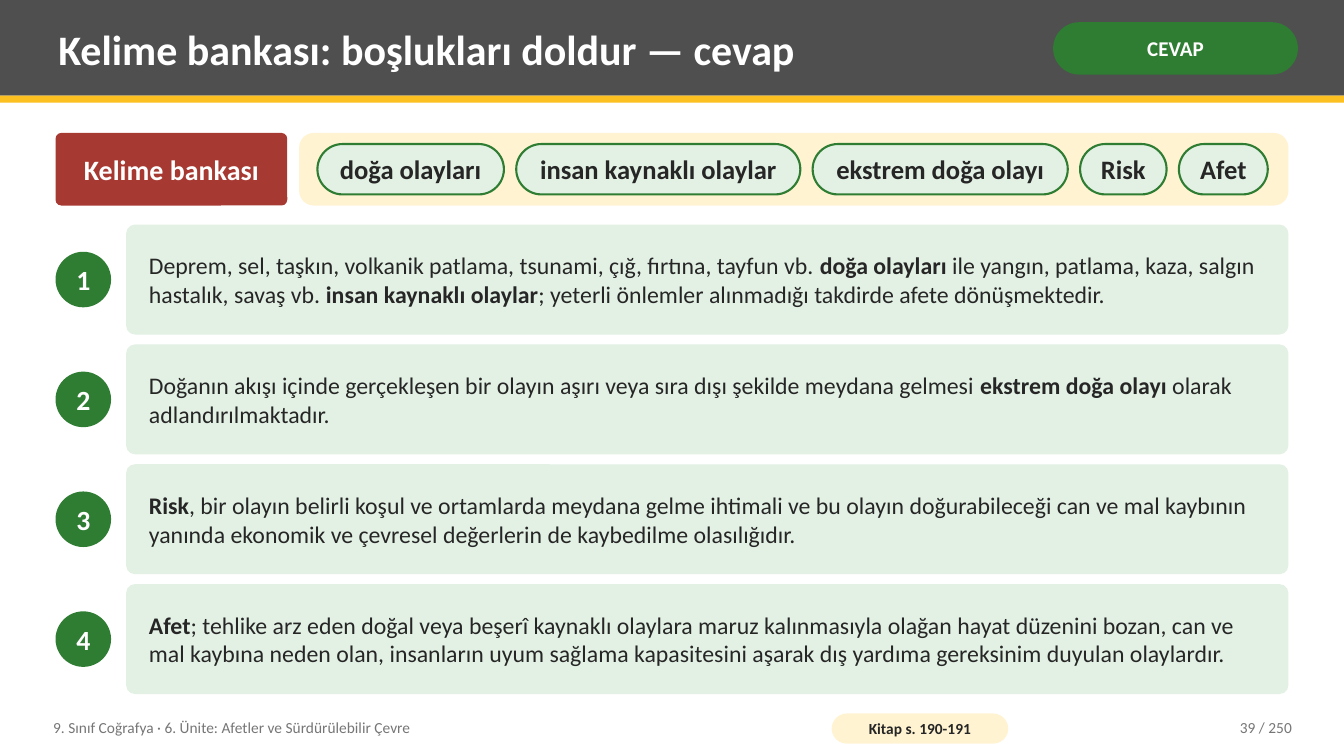
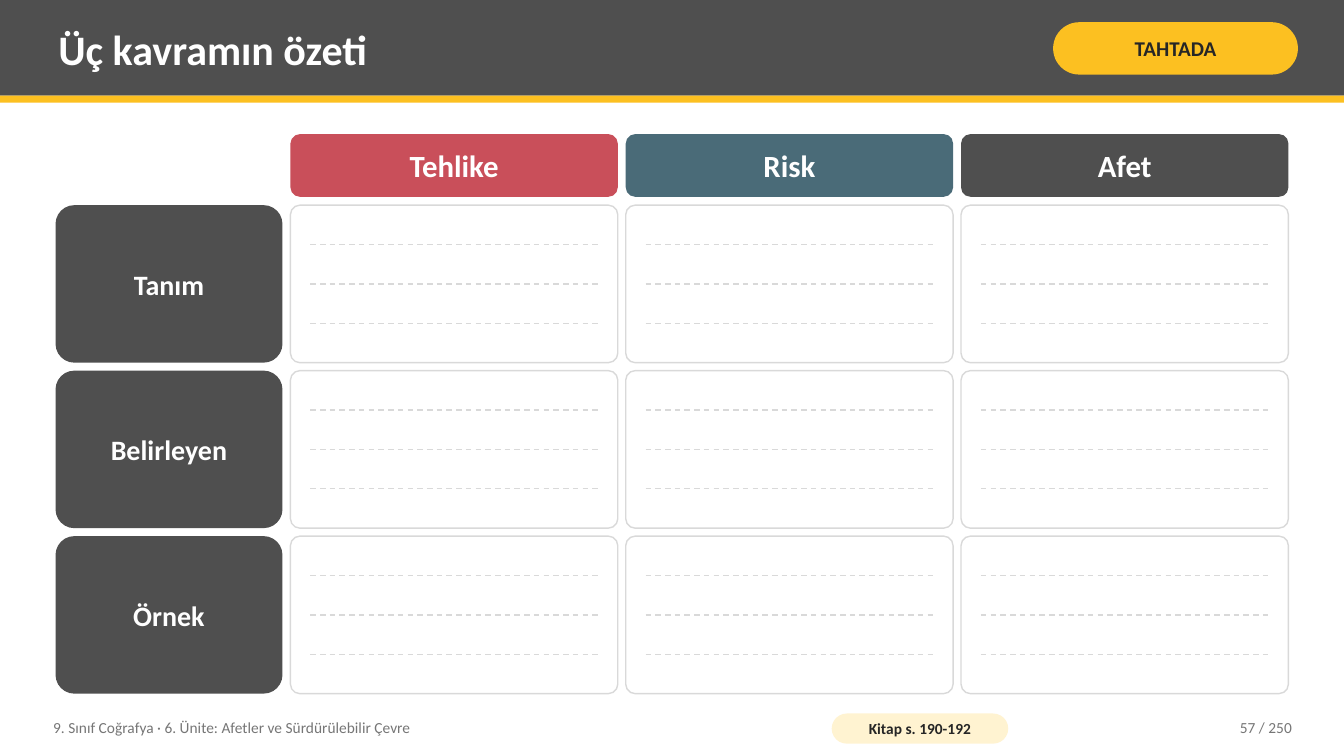
from dataclasses import dataclass

from lxml import etree
from pptx import Presentation
from pptx import util as u
from pptx.dml.color import RGBColor
from pptx.enum import dml, shapes, text
from pptx.oxml.ns import qn


@dataclass(frozen=True)
class Theme:
    font: str = "Calibri"
    white: str = "FFFFFF"
    ink: str = "262626"
    charcoal: str = "4F4F4F"
    muted: str = "767676"
    rule: str = "D9D9D9"
    yellow: str = "FCC021"
    cream: str = "FFF3D1"
    green: str = "2E7D32"
    mint: str = "E3F1E4"
    brick: str = "A63A32"
    rose: str = "C94F5A"
    teal: str = "4A6B78"
    title_size: float = 30
    column_size: float = 22
    label_size: float = 20
    number_size: float = 19.8
    word_size: float = 19
    sentence_size: float = 17
    badge_size: float = 15
    footer_size: float = 11


THEME = Theme()
ROUND = shapes.MSO_SHAPE.ROUNDED_RECTANGLE
RECT = shapes.MSO_SHAPE.RECTANGLE
CENTER, LEFT, RIGHT = text.PP_ALIGN.CENTER, text.PP_ALIGN.LEFT, text.PP_ALIGN.RIGHT


def write(frame, words, size, color, bold=True, align=CENTER, inset=(0.2, 0.1), wrap=True):
    """Fill a text frame; parts between ** marks switch bold on and off."""
    across, down = (u.Cm(length) for length in inset)
    layout_values = {
        "word_wrap": wrap, "auto_size": text.MSO_AUTO_SIZE.NONE,
        "vertical_anchor": text.MSO_ANCHOR.MIDDLE,
        "margin_left": across, "margin_right": across,
        "margin_top": down, "margin_bottom": down,
    }
    for key, value in layout_values.items():
        setattr(frame, key, value)
    paragraph = frame.paragraphs[0]
    paragraph.alignment = align
    for position, part in enumerate(words.split("**")):
        if not part:
            continue
        run = paragraph.add_run()
        run.text = part
        run.font.color.rgb = RGBColor.from_string(color)
        font_values = {"name": THEME.font, "size": u.Pt(size), "bold": bold != (position % 2 == 1)}
        for key, value in font_values.items():
            setattr(run.font, key, value)


def panel(slide, at, fill, preset=ROUND, corner=None, outline=None, width=1):
    """Add a filled shape; at is left, top, width and height in cm."""
    shape = slide.shapes.add_shape(preset, *(u.Cm(length) for length in at))
    shape.shadow.inherit = False
    shape.fill.solid()
    shape.fill.fore_color.rgb = RGBColor.from_string(fill)
    if corner is not None:
        shape.adjustments[0] = corner
    if outline:
        shape.line.color.rgb = RGBColor.from_string(outline)
        shape.line.width = u.Pt(width)
    else:
        shape.line.fill.background()
    return shape


SLIDE_WIDTH, SLIDE_HEIGHT = 33.87, 19.05
MARGIN, CONTENT_RIGHT = 1.4, 32.47

deck = Presentation()
deck.slide_width, deck.slide_height = u.Cm(SLIDE_WIDTH), u.Cm(SLIDE_HEIGHT)

# Shared layout: title position and header bands
layout = deck.slide_layouts[5]
layout_title, *unused = layout.placeholders
for placeholder in unused:
    layout.shapes.element.remove(placeholder.element)
title_place = {"left": 1.27, "top": 0.18, "width": 24.77, "height": 2.08}
for key, value in title_place.items():
    setattr(layout_title, key, u.Cm(value))

# Header and footer of each slide
headings = [
    ("Kelime bankası: boşlukları doldur — cevap", "CEVAP", THEME.green, THEME.white,
     "Kitap s. 190-191", "39 / 250"),
    ("Üç kavramın özeti", "TAHTADA", THEME.yellow, THEME.ink,
     "Kitap s. 190-192", "57 / 250"),
]
pages = []
for heading, badge, badge_fill, badge_ink, book_pages, page_number in headings:
    page = deck.slides.add_slide(layout)
    pages.append(page)
    write(page.shapes.title.text_frame, heading, THEME.title_size, THEME.white, align=LEFT)
    badge_pill = panel(page, (26.54, 0.56, 6.17, 1.32), badge_fill, corner=0.5)
    write(badge_pill.text_frame, badge, THEME.badge_size, badge_ink, inset=(0.13, 0.05))

    footer_texts = [
        (1.14, 19.3, "9. Sınıf Coğrafya · 6. Ünite: Afetler ve Sürdürülebilir Çevre", LEFT),
        (28.7, 4.06, page_number, RIGHT),
    ]
    for left, width, words, align in footer_texts:
        footer = page.shapes.add_textbox(u.Cm(left), u.Cm(17.88), u.Cm(width), u.Cm(0.91))
        write(footer.text_frame, words, THEME.footer_size, THEME.muted, bold=False, align=align)
    book_pill = panel(page, (20.96, 17.98, 4.45, 0.76), THEME.cream, corner=0.5)
    write(book_pill.text_frame, book_pages, THEME.footer_size, THEME.ink, inset=(0.1, 0))

answers, summary = pages
bands = [((0, 0, SLIDE_WIDTH, 2.41), THEME.charcoal), ((0, 2.41, SLIDE_WIDTH, 0.18), THEME.yellow)]
for order, (place, color) in enumerate(bands):
    band = panel(answers, place, color, RECT)
    layout.shapes.element.insert(2 + order, band.element)

# Word bank
BANK_TOP, BANK_HEIGHT, BANK_LEFT = 3.35, 1.83, 7.54
bank_label = panel(answers, (MARGIN, BANK_TOP, 5.84, BANK_HEIGHT), THEME.brick, corner=0.08)
write(bank_label.text_frame, "Kelime bankası", THEME.label_size, THEME.white, inset=(0.36, 0.2))
panel(answers, (BANK_LEFT, BANK_TOP, CONTENT_RIGHT - BANK_LEFT, BANK_HEIGHT), THEME.cream, corner=0.2)

WORD_HEIGHT, WORD_GAP = 1.27, 0.31
bank_words = [
    ("doğa olayları", 4.7), ("insan kaynaklı olaylar", 7.16), ("ekstrem doğa olayı", 6.43),
    ("Risk", 2.18), ("Afet", 2.24),
]
word_left = 8
word_top = BANK_TOP + (BANK_HEIGHT - WORD_HEIGHT) / 2
for word, width in bank_words:
    word_pill = panel(answers, (word_left, word_top, width, WORD_HEIGHT), THEME.mint,
                      corner=0.5, outline=THEME.green, width=1.5)
    write(word_pill.text_frame, word, THEME.word_size, THEME.ink, inset=(0.15, 0))
    word_left += width + WORD_GAP

# Numbered sentences
SENTENCE_TOP, SENTENCE_LEFT, SENTENCE_HEIGHT, SENTENCE_PITCH = 5.66, 3.18, 2.77, 3.02
NUMBER_SIZE = 1.4
sentences = [
    "Deprem, sel, taşkın, volkanik patlama, tsunami, çığ, fırtına, tayfun vb. **doğa olayları** "
    "ile yangın, patlama, kaza, salgın hastalık, savaş vb. **insan kaynaklı olaylar**; "
    "yeterli önlemler alınmadığı takdirde afete dönüşmektedir.",
    "Doğanın akışı içinde gerçekleşen bir olayın aşırı veya sıra dışı şekilde meydana gelmesi "
    "**ekstrem doğa olayı** olarak adlandırılmaktadır.",
    "**Risk**, bir olayın belirli koşul ve ortamlarda meydana gelme ihtimali ve bu olayın "
    "doğurabileceği can ve mal kaybının yanında ekonomik ve çevresel değerlerin de "
    "kaybedilme olasılığıdır.",
    "**Afet**; tehlike arz eden doğal veya beşerî kaynaklı olaylara maruz kalınmasıyla olağan "
    "hayat düzenini bozan, can ve mal kaybına neden olan, insanların uyum sağlama kapasitesini "
    "aşarak dış yardıma gereksinim duyulan olaylardır.",
]
for index, sentence in enumerate(sentences):
    top = SENTENCE_TOP + index * SENTENCE_PITCH
    number_top = top + (SENTENCE_HEIGHT - NUMBER_SIZE) / 2
    number = panel(answers, (MARGIN, number_top, NUMBER_SIZE, NUMBER_SIZE), THEME.green,
                   shapes.MSO_SHAPE.OVAL)
    write(number.text_frame, str(index + 1), THEME.number_size, THEME.white, inset=(0, 0), wrap=False)
    sentence_card = panel(answers, (SENTENCE_LEFT, top, CONTENT_RIGHT - SENTENCE_LEFT, SENTENCE_HEIGHT),
                          THEME.mint, corner=0.08)
    write(sentence_card.text_frame, sentence, THEME.sentence_size, THEME.ink,
          bold=False, align=LEFT, inset=(0.51, 0.2))

# Summary grid with writing lines
GAP = 0.2
LABEL_WIDTH, COLUMN_WIDTH = 5.72, 8.25
HEADER_TOP, HEADER_HEIGHT = 3.38, 1.58
ROW_TOP, ROW_HEIGHT = 5.17, 3.97
LINE_INSET, LINES_PER_CELL = 0.5, 3
concepts = [("Tehlike", THEME.rose), ("Risk", THEME.teal), ("Afet", THEME.charcoal)]
column_lefts = [MARGIN + LABEL_WIDTH + GAP + index * (COLUMN_WIDTH + GAP) for index in range(len(concepts))]

for left, (concept, color) in zip(column_lefts, concepts):
    concept_header = panel(summary, (left, HEADER_TOP, COLUMN_WIDTH, HEADER_HEIGHT), color, corner=0.15)
    write(concept_header.text_frame, concept, THEME.column_size, THEME.white, inset=(0.36, 0.2))

for index, aspect in enumerate(["Tanım", "Belirleyen", "Örnek"]):
    top = ROW_TOP + index * (ROW_HEIGHT + GAP)
    aspect_label = panel(summary, (MARGIN, top, LABEL_WIDTH, ROW_HEIGHT), THEME.charcoal, corner=0.12)
    write(aspect_label.text_frame, aspect, THEME.label_size, THEME.white, inset=(0.36, 0.2))
    for left in column_lefts:
        panel(summary, (left, top, COLUMN_WIDTH, ROW_HEIGHT), THEME.white, corner=0.06, outline=THEME.rule)
        for step in range(1, LINES_PER_CELL + 1):
            y = u.Cm(top + step * ROW_HEIGHT / (LINES_PER_CELL + 1))
            writing_line = summary.shapes.add_connector(
                shapes.MSO_CONNECTOR.STRAIGHT,
                u.Cm(left + LINE_INSET), y, u.Cm(left + COLUMN_WIDTH - LINE_INSET), y)
            writing_line.line.color.rgb = RGBColor.from_string(THEME.rule)
            writing_line.line.width = u.Pt(1)
            writing_line.line.dash_style = dml.MSO_LINE.DASH
            etree.SubElement(writing_line.element.spPr, qn("a:effectLst"))

deck.save("out.pptx")
